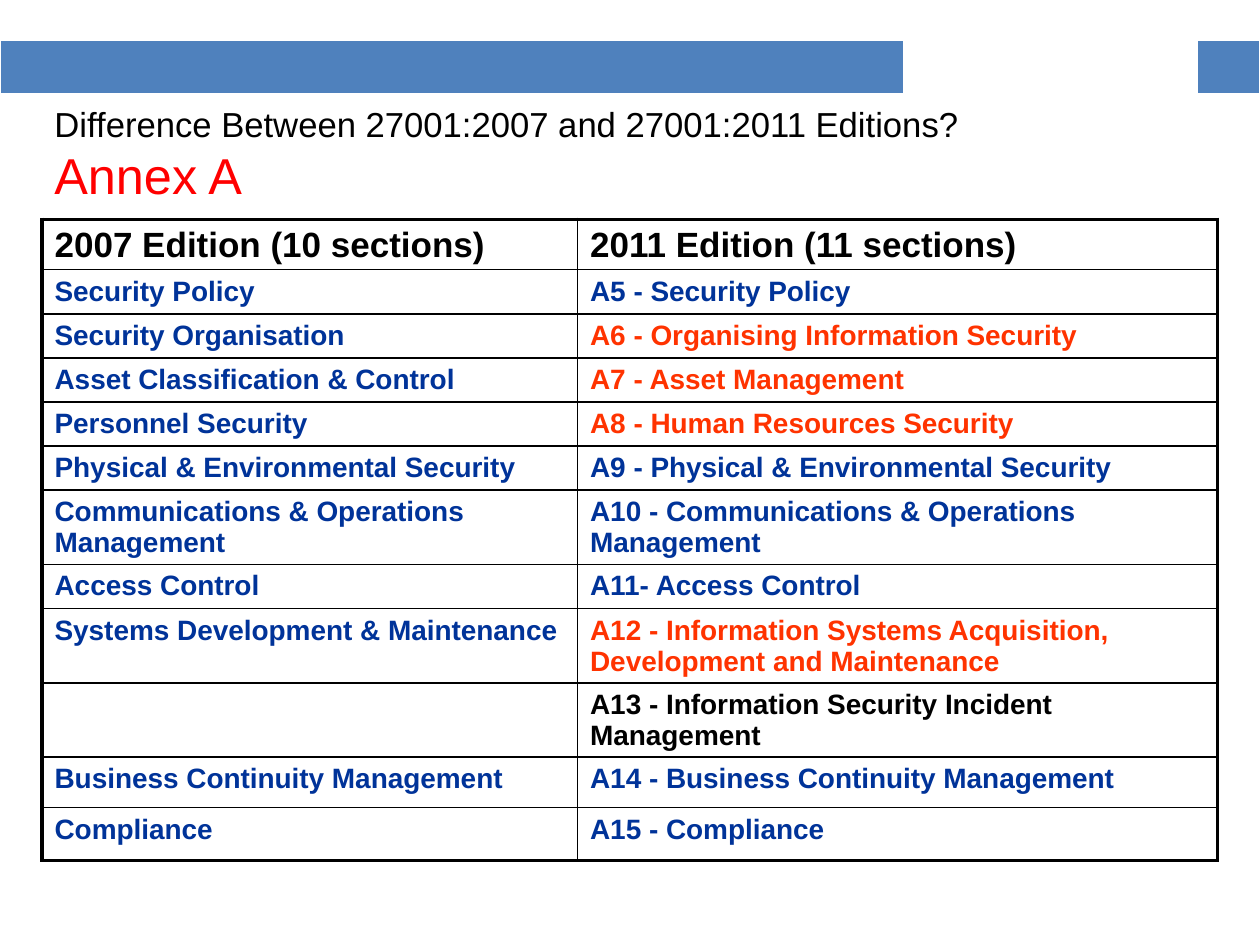
from lxml.etree import SubElement
from pptx import Presentation
from pptx.dml.color import RGBColor as Color
from pptx.enum.text import MSO_ANCHOR as Anchor
from pptx.oxml import parse_xml
from pptx.oxml.ns import nsdecls, qn
from pptx.util import Inches, Pt

BLACK = Color(0x00, 0x00, 0x00)
WHITE = Color(0xFF, 0xFF, 0xFF)
RED = Color(0xFF, 0x00, 0x00)
BLUE = Color(0x4F, 0x81, 0xBD)
NAVY = Color(0x00, 0x33, 0x99)
ORANGE = Color(0xFF, 0x33, 0x00)

MARGIN = 1 / 3
HEADINGS = ("2007 Edition (10 sections)", "2011 Edition (11 sections)")
SECTIONS = [
    ("Security Policy", "A5 - Security Policy", NAVY),
    ("Security Organisation", "A6 - Organising Information Security", ORANGE),
    ("Asset Classification & Control", "A7 - Asset Management", ORANGE),
    ("Personnel Security", "A8 - Human Resources Security", ORANGE),
    ("Physical & Environmental Security", "A9 - Physical & Environmental Security", NAVY),
    ("Communications & Operations Management",
     "A10 - Communications & Operations Management", NAVY),
    ("Access Control", "A11- Access Control", NAVY),
    ("Systems Development & Maintenance",
     "A12 - Information Systems Acquisition, Development and Maintenance", ORANGE),
    ("", "A13 - Information Security Incident Management", BLACK),
    ("Business Continuity Management", "A14 - Business Continuity Management", NAVY),
    ("Compliance", "A15 - Compliance", NAVY),
]
ROW_HEIGHTS = [0.4] + [0.35] * 5 + [0.59, 0.35, 0.59, 0.59, 0.4, 0.42]


def format_font(font, color, **values):
    font.color.rgb = color
    for name, value in {"name": "Arial", **values}.items():
        setattr(font, name, value)


def set_borders(cell, color, widths):
    properties = cell._tc.get_or_add_tcPr()
    for index, (side, width) in enumerate(zip("LRTB", widths)):
        line = parse_xml(f'<a:ln{side} {nsdecls("a")} w="{Pt(width)}"/>')
        fill = SubElement(line, qn("a:solidFill"))
        SubElement(fill, qn("a:srgbClr"), val=str(color))
        properties.insert(index, line)


def add_plain_table(slide, left, top, widths, heights):
    frame = slide.shapes.add_table(
        len(heights), len(widths), Inches(left), Inches(top),
        Inches(sum(widths)), Inches(sum(heights)))
    table = frame.table
    table.first_row = table.horz_banding = False
    for column, width in zip(table.columns, widths):
        column.width = Inches(width)
    for row, height in zip(table.rows, heights):
        row.height = Inches(height)
    for cell in table.iter_cells():
        cell.fill.background()
        cell.margin_bottom = Inches(0)
    return table


def add_banner(slide):
    table = add_plain_table(slide, 0, 0.32, [7.17, 2.33, 0.5], [0.44])
    for index, cell in enumerate(table.iter_cells()):
        set_borders(cell, WHITE, (1, 1, 1, 3))
        if index != 1:
            cell.fill.solid()
            cell.fill.fore_color.rgb = BLUE


def add_title(slide):
    box = slide.shapes.add_textbox(Inches(MARGIN), Inches(0.85), Inches(9.33), Inches(0.74))
    frame = box.text_frame
    for name, value in {"word_wrap": True, "vertical_anchor": Anchor.MIDDLE}.items():
        setattr(frame, name, value)
    paragraph = frame.paragraphs[0]
    question = paragraph.add_run()
    question.text = "Difference Between 27001:2007 and 27001:2011 Editions?"
    format_font(question.font, BLACK, size=Pt(19.8))
    paragraph.add_line_break()
    annex = paragraph.add_run()
    annex.text = "Annex A"
    format_font(annex.font, RED, size=Pt(28.8))


def fill_cell(cell, text, color, size):
    paragraph = cell.text_frame.paragraphs[0]
    if text:
        run = paragraph.add_run()
        run.text = text
        format_font(run.font, color, size=Pt(size), bold=True)
    else:
        format_font(paragraph.font, color, size=Pt(size))


def add_comparison(slide):
    table = add_plain_table(slide, MARGIN, 1.74, [4.25, 5.08], ROW_HEIGHTS)
    for cell, heading in zip(table.rows[0].cells, HEADINGS):
        fill_cell(cell, heading, BLACK, 20)
    for index, (old, new, color) in enumerate(SECTIONS, start=1):
        fill_cell(table.cell(index, 0), old, NAVY, 16)
        fill_cell(table.cell(index, 1), new, color, 16)
    last = len(SECTIONS)
    for row_index, row in enumerate(table.rows):
        for column_index, cell in enumerate(row.cells):
            outer = (column_index == 0, column_index == 1, row_index == 0, row_index == last)
            set_borders(cell, BLACK, [2.25 if edge else 1 for edge in outer])


def main():
    presentation = Presentation()
    presentation.slide_width = Inches(10)
    presentation.slide_height = Inches(7.5)
    slide = presentation.slides.add_slide(presentation.slide_layouts[6])
    add_banner(slide)
    add_title(slide)
    add_comparison(slide)
    presentation.save("out.pptx")


if __name__ == "__main__":
    main()
